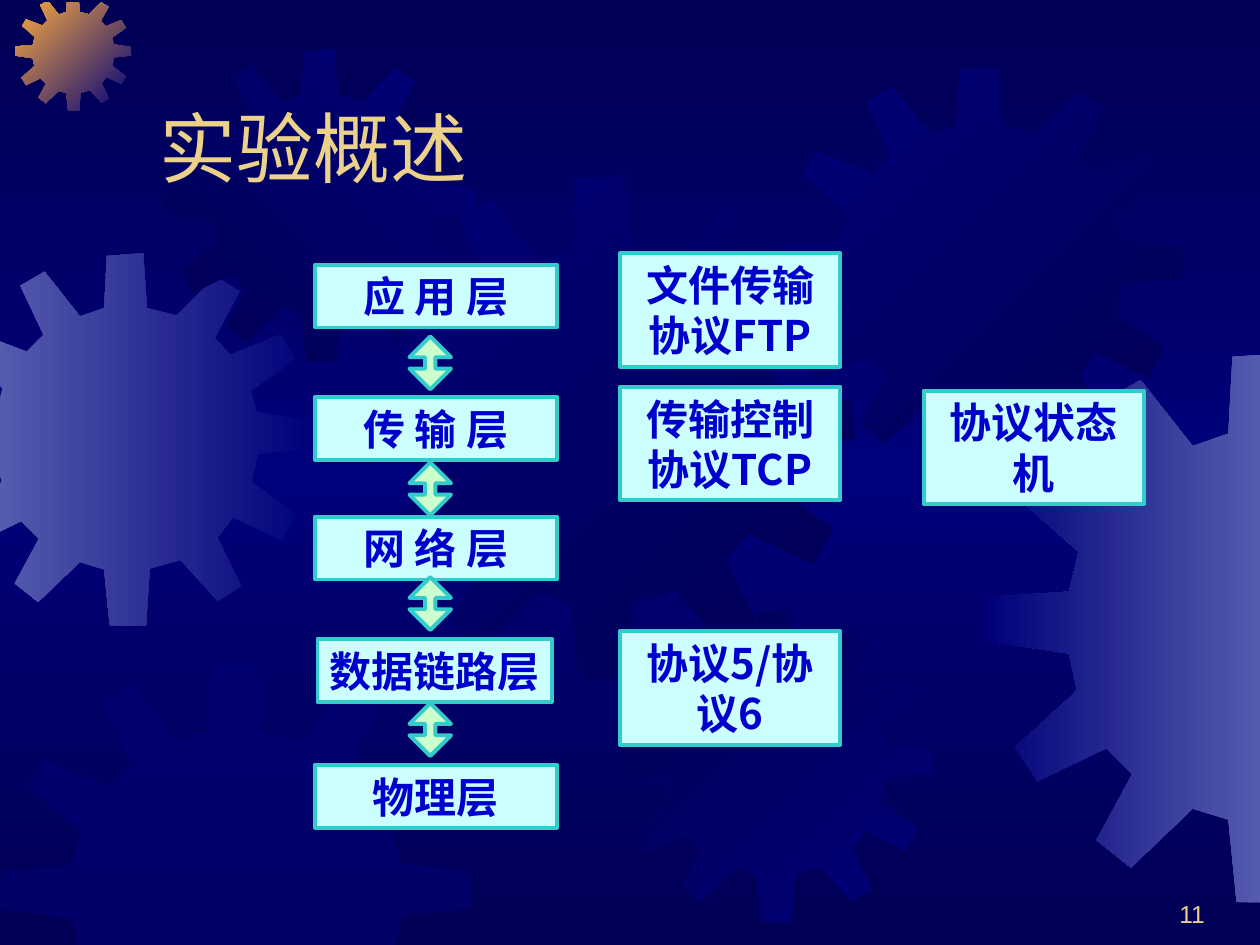
from copy import deepcopy

from lxml import etree
from pptx import Presentation
from pptx import util as u
from pptx.dml.color import RGBColor
from pptx.enum import shapes, text
from pptx.oxml import ns

NAVY, BLUE, LILAC, ORANGE = "000054", "00007A", "555BAD", "FCAB40"
GOLD, INK, AQUA, TEAL, MINT = "EBD189", "0000CC", "CCFFFF", "33CCCC", "CCFFCC"
SANS = "Noto Sans CJK SC"

GEAR_SIZE = 4.01
GEAR = [
    (2.55, 0.67), (2.23, 0.59), (2.19, 0), (1.8, 0.03), (1.77, 0.59), (1.51, 0.68),
    (1.13, 0.2), (0.87, 0.35), (1.12, 0.88), (0.94, 1.06), (0.38, 0.85), (0.25, 1.07),
    (0.68, 1.45), (0.61, 1.74), (0.01, 1.78), (0, 2.1), (0.61, 2.19), (0.67, 2.46),
    (0.22, 2.87), (0.38, 3.12), (0.88, 2.88), (1.07, 3.07), (0.81, 3.55), (1.06, 3.75),
    (1.51, 3.32), (1.77, 3.4), (1.83, 4), (2.22, 4.01), (2.26, 3.39), (2.59, 3.3),
    (2.99, 3.74), (3.25, 3.58), (2.99, 3.06), (3.16, 2.84), (3.68, 3.09), (3.84, 2.81),
    (3.36, 2.46), (3.42, 2.16), (4.01, 2.1), (4, 1.8), (3.41, 1.71), (3.35, 1.48),
    (3.83, 1.14), (3.67, 0.87), (3.13, 1.09), (2.96, 0.91), (3.23, 0.41), (2.97, 0.25),
]
GEARS = [
    (-0.48, 2.01, 2.96, BLUE, LILAC, 180),
    (0.12, -0.04, 0.92, BLUE, ORANGE, 225),
    (1.3, 0.39, 2.48, BLUE, NAVY, 135),
    (2.77, 1.39, 4.01, NAVY, BLUE, 225),
    (0, 5.25, 3.74, BLUE, None, 0),
    (4.91, 4.84, 2.48, BLUE, NAVY, 225),
    (6.18, 0.53, 3.2, NAVY, BLUE, 225),
    (7.82, 2.8, 4.37, LILAC, BLUE, 180),
]
EDGES = [(0, -0.01, 1), (0, 10.01, -1), (1, 0.02, 1), (1, 7.54, -1)]


def rgb(value):
    """Turn a hex string into a colour."""
    return RGBColor.from_string(value)


def gradient(fill, colors, angle):
    """Fill with two colours along a clockwise angle."""
    fill.gradient()
    fill.gradient_angle = (360 - angle) % 360
    for stop, color in zip(fill.gradient_stops, colors):
        stop.color.rgb = rgb(color)


def clip(points, axis, limit, side):
    """Cut a polygon along one slide edge."""
    kept = []
    for a, b in zip(points[-1:] + points, points):
        da, db = (side * (q[axis] - limit) for q in (a, b))
        if da * db < 0:
            t = da / (da - db)
            kept.append(tuple(m + t * (n - m) for m, n in zip(a, b)))
        if db >= 0:
            kept.append(b)
    return kept


def add_background(s):
    """Shade the slide from dark to blue and back."""
    fill = s.background.fill
    gradient(fill, (NAVY, BLUE), 90)
    stops = s.element.find(".//" + ns.qn("a:gsLst"))
    stops.append(deepcopy(stops[0]))
    for stop, position in zip(fill.gradient_stops, (0, 0.5, 1)):
        stop.position = position


def add_gear(s, x, y, size, color, end, angle):
    """Draw one gear in a square box, cut at the slide edges."""
    k = size / GEAR_SIZE
    points = [(x + k * px, y + k * py) for px, py in GEAR]
    for edge in EDGES:
        points = clip(points, *edge)
    points = [(u.Inches(px), u.Inches(py)) for px, py in points]
    builder = s.shapes.build_freeform(*points[0])
    builder.add_line_segments(points[1:], close=True)
    sp = builder.convert_to_shape()
    sp.shadow.inherit = False
    sp.line.fill.background()
    if end:
        gradient(sp.fill, (color, end), angle)
    else:
        sp.fill.solid()
        sp.fill.fore_color.rgb = rgb(color)
        clr = sp.element.spPr.find(".//" + ns.qn("a:srgbClr"))
        etree.SubElement(clr, ns.qn("a:alpha"), val="50000")


def write(sp, words, size, font, color, align, anchor, bold=False, wrap=True):
    """Set the single paragraph of a shape."""
    tf = sp.text_frame
    tf.word_wrap = wrap
    tf.vertical_anchor = anchor
    p = tf.paragraphs[0]
    p.text = words
    p.alignment = align
    p.font.size = u.Pt(size)
    p.font.name = font
    p.font.bold = bold
    p.font.color.rgb = rgb(color)


def add_label(s, x, y, w, h, words, size, align):
    """Place gold text at the bottom of a box."""
    sp = s.shapes.add_textbox(*map(u.Inches, (x, y, w, h)))
    write(sp, words, size, "Arial", GOLD, align, text.MSO_ANCHOR.BOTTOM)


def add_outlined(s, kind, x, y, w, h, color):
    """Place a preset shape with a teal outline."""
    sp = s.shapes.add_shape(kind, *map(u.Inches, (x, y, w, h)))
    sp.shadow.inherit = False
    sp.fill.solid()
    sp.fill.fore_color.rgb = rgb(color)
    sp.line.color.rgb = rgb(TEAL)
    sp.line.width = u.Pt(2.25)
    return sp


def add_card(s, x, y, w, h, words, wrap=True):
    """Place a rectangle with bold centred text."""
    sp = add_outlined(s, shapes.MSO_SHAPE.RECTANGLE, x, y, w, h, AQUA)
    write(sp, words, 24, SANS, INK, text.PP_ALIGN.CENTER,
          text.MSO_ANCHOR.MIDDLE, bold=True, wrap=wrap)


def add_layers(s, x, y, w):
    """Stack the network layers, joined by double arrows."""
    for dy, name in ((0, "应 用 层"), (1.05, "传 输 层"), (2, "网 络 层"), (3.97, "物理层")):
        add_card(s, x, y + dy, w, 0.5, name)
    add_card(s, x + 0.02, y + 2.97, w - 0.06, 0.5, "数据链路层", wrap=False)
    for dy in (0.57, 1.57, 2.48, 3.48):
        sp = add_outlined(s, shapes.MSO_SHAPE.UP_DOWN_ARROW,
                          x + 0.75, y + dy, 0.33, 0.42, MINT)
        sp.adjustments[0], sp.adjustments[1] = 0.5, 0.25


def add_protocols(s, x, y, w, h):
    """Place the protocol cards beside their layers."""
    for dx, dy, name in ((0, 1.06, "传输控制协议TCP"), (0, 0, "文件传输协议FTP"),
                         (0, 3, "协议5/协议6"), (2.41, 1.09, "协议状态机")):
        add_card(s, x + dx, y + dy, w, h, name)


def main():
    """Build and save the slide."""
    prs = Presentation()
    prs.slide_width, prs.slide_height = u.Inches(10), u.Inches(7.5)
    s = prs.slides.add_slide(prs.slide_layouts[6])
    add_background(s)
    for gear in GEARS:
        add_gear(s, *gear)
    add_label(s, 1.17, 0.33, 8.5, 1.25, "实验概述", 44, text.PP_ALIGN.LEFT)
    add_layers(s, 2.5, 2.1, 1.92)
    add_protocols(s, 4.92, 2.01, 1.75, 0.9)
    add_label(s, 7.58, 6.92, 2.08, 0.5, "11", 14, text.PP_ALIGN.RIGHT)
    prs.save("out.pptx")


if __name__ == "__main__":
    main()
